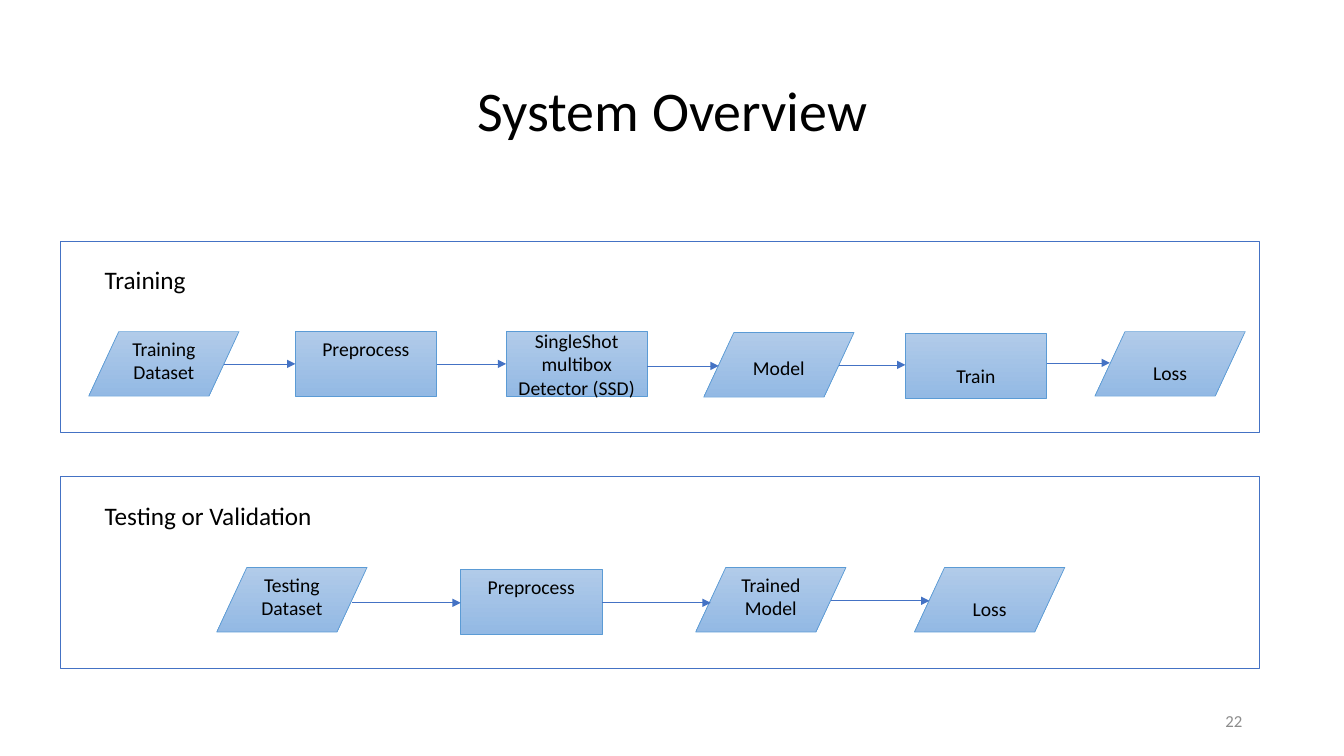
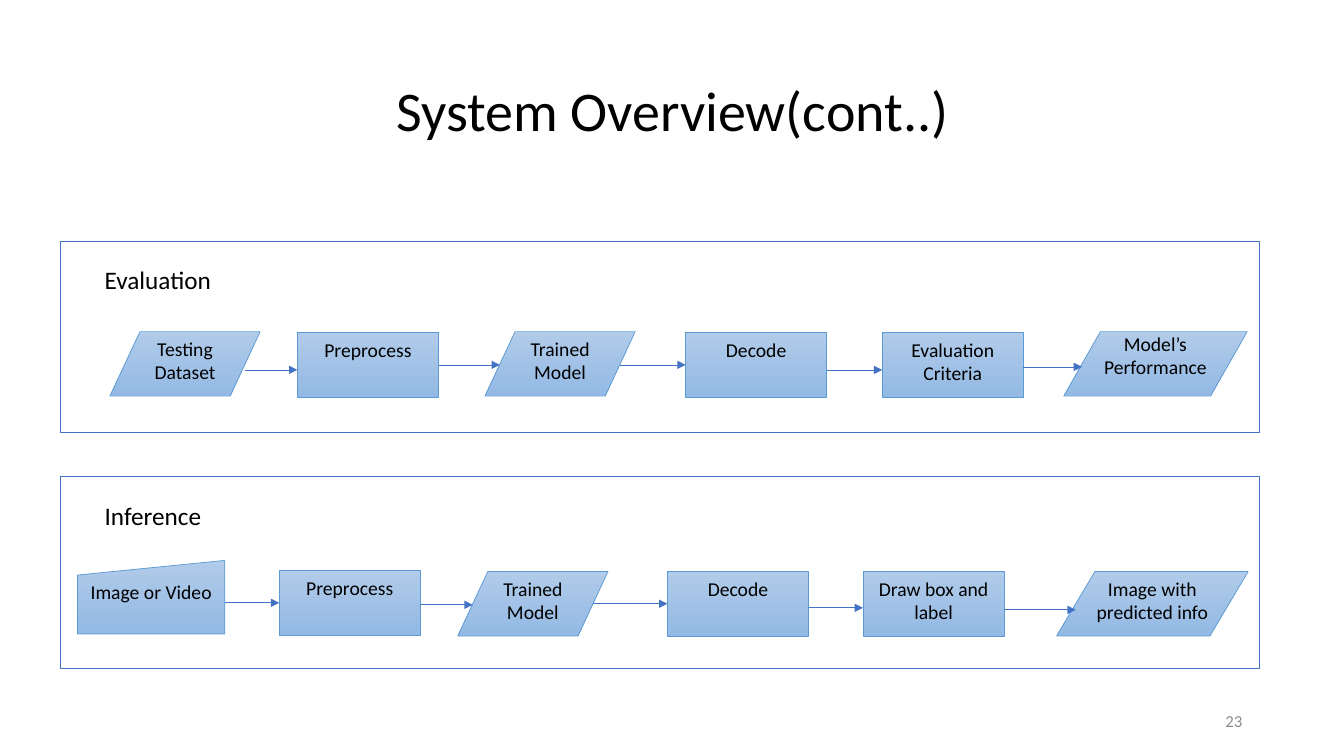
from dataclasses import dataclass
from itertools import pairwise
from typing import Optional

from lxml.etree import SubElement
from pptx import Presentation
from pptx.dml.color import RGBColor
from pptx.enum.shapes import MSO_CONNECTOR, MSO_SHAPE
from pptx.enum.text import MSO_ANCHOR, PP_ALIGN
from pptx.oxml.ns import qn
from pptx.util import Inches, Pt


@dataclass(frozen=True)
class Theme:
    font: str = "Calibri"
    ink: str = "000000"
    muted: str = "8C8C8C"
    rule: str = "4472C4"
    step_edge: str = "5B9BD5"
    step_top: str = "B1CBE9"
    step_bottom: str = "93B9E4"
    title_size: int = 40
    label_size: int = 18
    step_size: int = 14
    number_size: int = 12
    line_width: float = 0.5


THEME = Theme()
PROCESS = MSO_SHAPE.FLOWCHART_PROCESS
DATA = MSO_SHAPE.FLOWCHART_DATA
INPUT = MSO_SHAPE.FLOWCHART_MANUAL_INPUT
STEP_WIDTH = {PROCESS: 1.4, DATA: 1.49, INPUT: 1.46}
STEP_HEIGHT = {PROCESS: 0.64, DATA: 0.64, INPUT: 0.73}

PANEL_LEFT, PANEL_WIDTH, PANEL_HEIGHT = 0.6, 11.89, 1.9
PANEL_TOPS = (2.39, 4.73)


@dataclass(frozen=True)
class Step:
    text: str
    kind: MSO_SHAPE
    left: float
    top: float
    exit_y: Optional[float] = None
    wide: Optional[float] = None
    inset_top: float = 0.05
    inset_side: float = 0.1
    anchor: MSO_ANCHOR = MSO_ANCHOR.TOP

    @property
    def width(self):
        return self.wide or STEP_WIDTH[self.kind]

    @property
    def slant(self):
        return self.width / 10 if self.kind == DATA else 0


TRAINING = (
    Step("Training Dataset", DATA, 0.88, 3.29, 3.61),
    Step("Preprocess", PROCESS, 2.93, 3.29, 3.61),
    Step("SingleShot multibox Detector (SSD)", PROCESS, 5.02, 3.29, 3.63,
         anchor=MSO_ANCHOR.MIDDLE),
    Step("Model", DATA, 6.98, 3.3, 3.62, inset_top=0.23),
    Step("Train", PROCESS, 8.98, 3.31, 3.6, inset_top=0.3),
    Step("Loss", DATA, 10.86, 3.29, inset_top=0.29),
)
TESTING = (
    Step("Testing Dataset", DATA, 2.15, 5.63, 5.98),
    Step("Preprocess", PROCESS, 4.57, 5.65, 5.98),
    Step("Trained Model", DATA, 6.9, 5.63, 5.96),
    Step("Loss", DATA, 9.07, 5.63, inset_top=0.29),
)
EVALUATION = (
    Step("Testing Dataset", DATA, 1.09, 3.29, 3.67),
    Step("Preprocess", PROCESS, 2.95, 3.3, 3.62),
    Step("Trained Model", DATA, 4.81, 3.29, 3.62),
    Step("Decode", PROCESS, 6.8, 3.3, 3.67),
    Step("Evaluation Criteria", PROCESS, 8.75, 3.3, 3.64),
    Step("Model’s Performance", DATA, 10.55, 3.29, wide=1.82, inset_top=0, inset_side=0),
)
INFERENCE = (
    Step("Image or Video", INPUT, 0.77, 5.56, 5.98),
    Step("Preprocess", PROCESS, 2.77, 5.66, 6),
    Step("Trained Model", DATA, 4.54, 5.67, 5.99),
    Step("Decode", PROCESS, 6.62, 5.67, 6.03),
    Step("Draw box and label", PROCESS, 8.56, 5.67, 6.05),
    Step("Image with predicted info", DATA, 10.48, 5.67, wide=1.9, inset_side=0),
)

SLIDES = (
    ("System Overview", "22", (("Training", TRAINING), ("Testing or Validation", TESTING))),
    ("System Overview(cont..)", "23", (("Evaluation", EVALUATION), ("Inference", INFERENCE))),
)


def rgb(value):
    return RGBColor.from_string(value)


def write(frame, text, size, color=THEME.ink, align=PP_ALIGN.LEFT, anchor=MSO_ANCHOR.TOP):
    frame.text = text
    frame.word_wrap = True
    frame.vertical_anchor = anchor
    paragraph = frame.paragraphs[0]
    paragraph.alignment = align
    paragraph.font.name = THEME.font
    paragraph.font.size = Pt(size)
    paragraph.font.color.rgb = rgb(color)
    return paragraph


def add_text(slide, box, text, size, **style):
    frame = slide.shapes.add_textbox(*map(Inches, box)).text_frame
    return write(frame, text, size, **style)


def style_line(line, color):
    line.color.rgb = rgb(color)
    line.width = Pt(THEME.line_width)


def add_panel(slide, top, label):
    panel = slide.shapes.add_shape(
        MSO_SHAPE.RECTANGLE,
        *map(Inches, (PANEL_LEFT, top, PANEL_WIDTH, PANEL_HEIGHT)),
    )
    panel.shadow.inherit = False
    panel.fill.background()
    style_line(panel.line, THEME.rule)
    add_text(slide, (0.94, top + 0.18, 2.44, 0.4), label, THEME.label_size)


def add_step(slide, step):
    box = (step.left, step.top, step.width, STEP_HEIGHT[step.kind])
    block = slide.shapes.add_shape(step.kind, *map(Inches, box))
    block.shadow.inherit = False
    block.fill.gradient()
    block.fill.gradient_angle = 270
    for stop, color in zip(block.fill.gradient_stops, (THEME.step_top, THEME.step_bottom)):
        stop.color.rgb = rgb(color)
    style_line(block.line, THEME.step_edge)
    frame = block.text_frame
    frame.margin_top = Inches(step.inset_top)
    frame.margin_left = frame.margin_right = Inches(step.inset_side)
    write(frame, step.text, THEME.step_size, align=PP_ALIGN.CENTER, anchor=step.anchor)


def add_arrow(slide, source, target):
    start = source.left + source.width - source.slant
    end = target.left + target.slant
    arrow = slide.shapes.add_connector(
        MSO_CONNECTOR.STRAIGHT,
        *map(Inches, (start, source.exit_y, end, source.exit_y)),
    )
    style_line(arrow.line, THEME.rule)
    properties = arrow.element.spPr
    SubElement(properties.find(qn("a:ln")), qn("a:tailEnd"), type="triangle")
    SubElement(properties, qn("a:effectLst"))


def add_flow(slide, steps):
    for step in steps:
        add_step(slide, step)
    for source, target in pairwise(steps):
        add_arrow(slide, source, target)


def add_overview(deck, title, number, panels):
    slide = deck.slides.add_slide(deck.slide_layouts[6])
    heading = add_text(slide, (0.92, 0.4, 11.5, 1.45), title, THEME.title_size,
                       align=PP_ALIGN.CENTER, anchor=MSO_ANCHOR.MIDDLE)
    heading.line_spacing = 0.9
    for top, (label, steps) in zip(PANEL_TOPS, panels):
        add_panel(slide, top, label)
        add_flow(slide, steps)
    add_text(slide, (9.42, 6.95, 3, 0.4), number, THEME.number_size, color=THEME.muted,
             align=PP_ALIGN.RIGHT, anchor=MSO_ANCHOR.MIDDLE)


def main():
    deck = Presentation()
    deck.slide_width, deck.slide_height = Inches(13.33), Inches(7.5)
    for title, number, panels in SLIDES:
        add_overview(deck, title, number, panels)
    deck.save("out.pptx")


if __name__ == "__main__":
    main()
